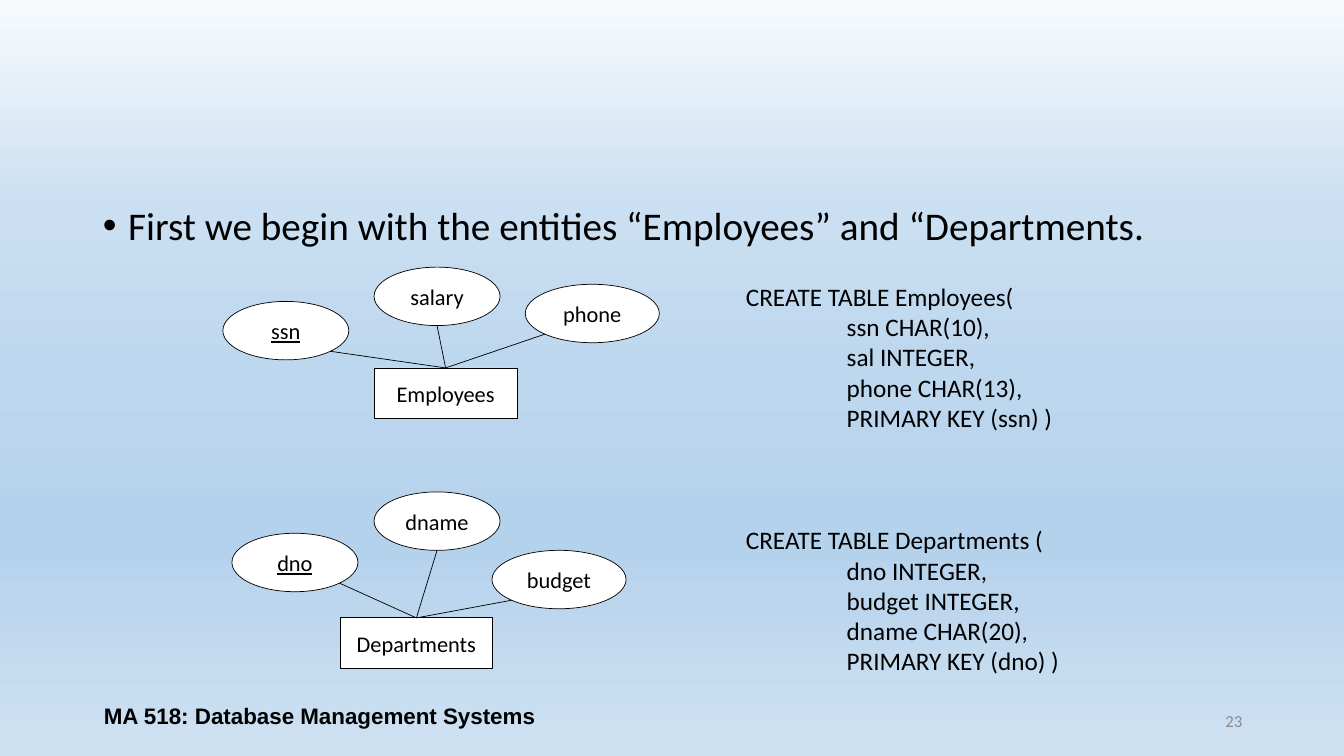
from math import cos, radians, sin

from lxml.etree import SubElement
from pptx import Presentation
from pptx.dml.color import RGBColor
from pptx.enum.shapes import MSO_CONNECTOR, MSO_SHAPE
from pptx.enum.text import MSO_ANCHOR, PP_ALIGN
from pptx.oxml.ns import qn
from pptx.util import Inches, Pt

COLORS = {"text": "000000", "line": "000000", "box": "FFFFFF", "number": "8C8C8C"}
BACKGROUND = [(0, "F7FAFD"), (28, "CADFF1"), (49, "BDD7EE"),
              (71, "B5D2EC"), (72, "B5D2EC"), (100, "CEE1F2")]

BULLET = "First we begin with the entities “Employees” and “Departments."
FOOTER = "MA 518: Database Management Systems"
SLIDE_NUMBER = "23"

# Attributes: name, left, top, width, angle on the ellipse where its line starts
ENTITIES = [
    {"name": "Employees", "box": (3.71, 3.65, 1.42, 0.5), "key": "ssn",
     "attributes": [("ssn", 2.21, 2.99, 1.25, 45),
                    ("salary", 3.71, 2.65, 1.25, 90),
                    ("phone", 5.21, 2.82, 1.33, 135)]},
    {"name": "Departments", "box": (3.38, 6.13, 1.5, 0.5), "key": "dno",
     "attributes": [("dno", 2.3, 5.29, 1.25, 45),
                    ("dname", 3.71, 4.88, 1.25, 90),
                    ("budget", 4.88, 5.46, 1.33, 135)]},
]
ELLIPSE_HEIGHT = 0.58

STATEMENTS = [
    ("CREATE TABLE Employees(",
     ["ssn CHAR(10),", "sal INTEGER,", "phone CHAR(13),", "PRIMARY KEY (ssn) )"]),
    ("CREATE TABLE Departments (",
     ["dno INTEGER,", "budget INTEGER,", "dname CHAR(20),", "PRIMARY KEY (dno) )"]),
]


def color(name):
    """Return the named colour."""
    return RGBColor.from_string(COLORS[name])


def write(paragraph, text, size, color_name="text", **formats):
    """Add a formatted run to a paragraph."""
    run = paragraph.add_run()
    run.text = text
    run.font.color.rgb = color(color_name)
    for attribute, value in {"name": "Calibri", "size": Pt(size), **formats}.items():
        setattr(run.font, attribute, value)


def indent(paragraph, left, first=0):
    """Set the left margin and first-line indent in inches."""
    properties = paragraph._p.get_or_add_pPr()
    properties.set("marL", str(Inches(left)))
    properties.set("indent", str(Inches(first)))


def add_text_box(slide, place, anchor):
    """Add a wrapping text box and return its text frame."""
    frame = slide.shapes.add_textbox(*map(Inches, place)).text_frame
    frame.word_wrap = True
    frame.vertical_anchor = anchor
    return frame


def add_label(slide, place, text, size, alignment, color_name="text", **formats):
    """Add a one-line label at the foot of the slide."""
    paragraph = add_text_box(slide, place, MSO_ANCHOR.MIDDLE).paragraphs[0]
    paragraph.alignment = alignment
    write(paragraph, text, size, color_name, **formats)


def add_node(slide, kind, place, text, underline=False):
    """Add an outlined entity or attribute shape."""
    shape = slide.shapes.add_shape(kind, *map(Inches, place))
    shape.shadow.inherit = False
    shape.fill.solid()
    shape.fill.fore_color.rgb = color("box")
    shape.line.color.rgb = color("line")
    shape.line.width = Pt(0.5)
    shape.text_frame.vertical_anchor = MSO_ANCHOR.MIDDLE
    paragraph = shape.text_frame.paragraphs[0]
    paragraph.alignment = PP_ALIGN.CENTER
    write(paragraph, text, 16, underline=underline)


def add_line(slide, start, end):
    """Join two points with a thin straight line."""
    connector = slide.shapes.add_connector(
        MSO_CONNECTOR.STRAIGHT, *map(Inches, (*start, *end)))
    connector.line.color.rgb = color("line")
    connector.line.width = Pt(0.5)
    SubElement(connector._element.spPr, qn("a:effectLst"))


def add_entity(slide, entity):
    """Draw an entity with its attributes joined to its top centre."""
    left, top, width, _ = entity["box"]
    add_node(slide, MSO_SHAPE.RECTANGLE, entity["box"], entity["name"])
    for name, x, y, across, angle in entity["attributes"]:
        add_node(slide, MSO_SHAPE.OVAL, (x, y, across, ELLIPSE_HEIGHT), name,
                 underline=name == entity["key"])
        start = (x + across / 2 * (1 + cos(radians(angle))),
                 y + ELLIPSE_HEIGHT / 2 * (1 + sin(radians(angle))))
        add_line(slide, start, (left + width / 2, top))


def add_statements(slide):
    """Write the SQL statements with indented columns."""
    frame = add_text_box(slide, (7.3, 2.74, 4.1, 4.04), MSO_ANCHOR.TOP)
    paragraph = frame.paragraphs[0]
    for number, (heading, columns) in enumerate(STATEMENTS):
        if number:
            paragraph = frame.add_paragraph()
            paragraph.space_before = Pt(66)
        write(paragraph, heading, 18)
        for column in columns:
            paragraph = frame.add_paragraph()
            indent(paragraph, 1)
            write(paragraph, column, 18)


def set_background(slide):
    """Fill the background with a vertical gradient."""
    fill = slide.background.fill
    fill.gradient()
    fill.gradient_angle = 270
    stops = slide._element.find(".//" + qn("a:gsLst"))
    for stop in list(stops):
        stops.remove(stop)
    for position, value in BACKGROUND:
        stop = SubElement(stops, qn("a:gs"), pos=str(position * 1000))
        SubElement(stop, qn("a:srgbClr"), val=value)


def add_bullet(slide):
    """Place the bulleted sentence in the body placeholder."""
    body = slide.placeholders[1]
    place = dict(zip(("left", "top", "width", "height"), (0.92, 2, 11.5, 4.76)))
    for attribute, value in place.items():
        setattr(body, attribute, Inches(value))
    paragraph = body.text_frame.paragraphs[0]
    indent(paragraph, 0.25, -0.25)
    paragraph.line_spacing = 0.9
    paragraph.space_before = Pt(10)
    write(paragraph, BULLET, 28)


presentation = Presentation()
presentation.slide_width = Inches(13.33)
presentation.slide_height = Inches(7.5)
slide = presentation.slides.add_slide(presentation.slide_layouts[1])
title = slide.shapes.title._element
title.getparent().remove(title)

set_background(slide)
add_bullet(slide)
add_label(slide, (9.42, 6.95, 3, 0.4), SLIDE_NUMBER, 12, PP_ALIGN.RIGHT, "number")
add_label(slide, (0.92, 6.9, 4.5, 0.4), FOOTER, 16, PP_ALIGN.CENTER,
          name="Arial", bold=True)
for entity in ENTITIES:
    add_entity(slide, entity)
add_statements(slide)
presentation.save("out.pptx")
